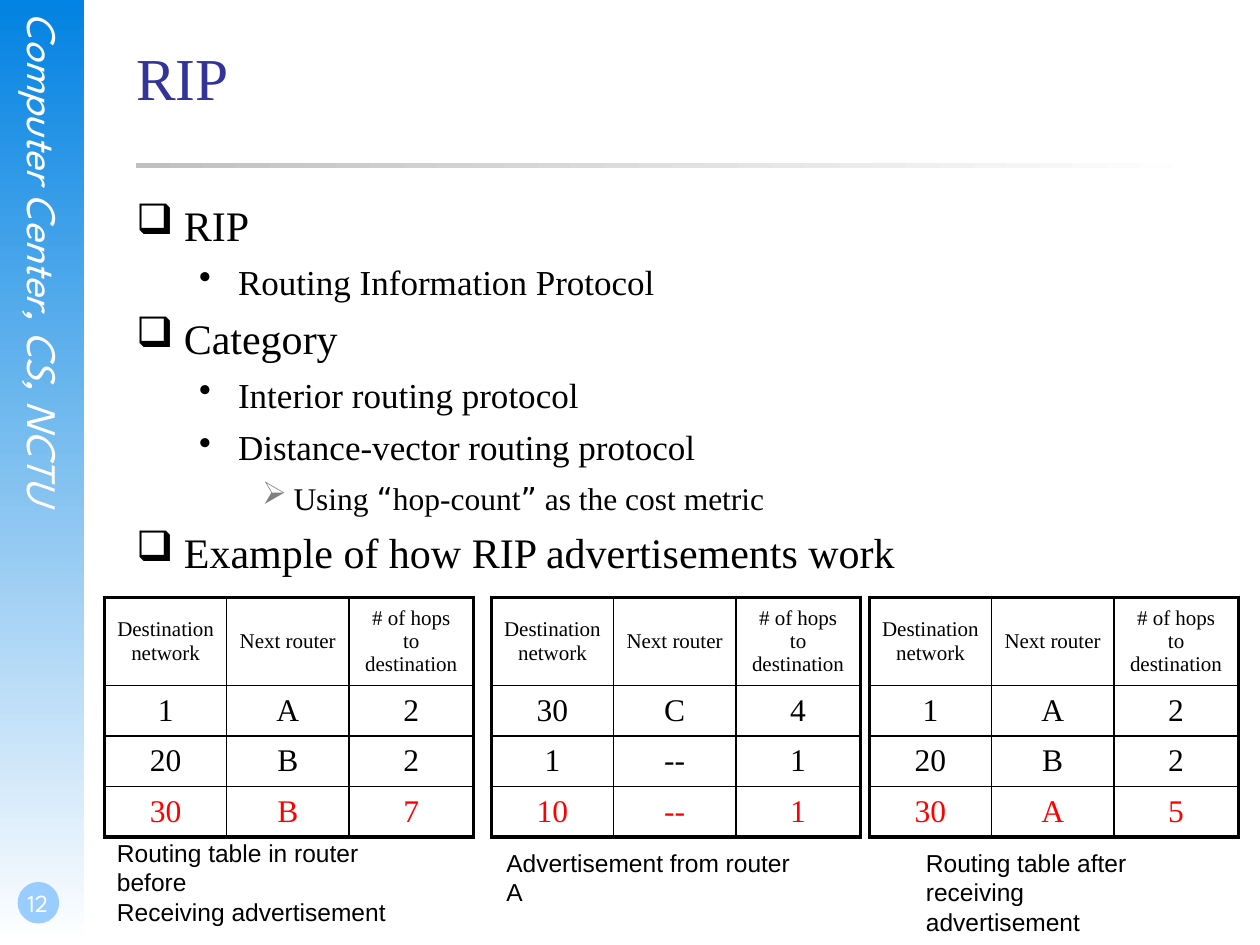
from lxml import etree
from pptx import Presentation
from pptx.dml.color import RGBColor
from pptx.enum.shapes import MSO_SHAPE
from pptx.enum.text import MSO_ANCHOR, PP_ALIGN
from pptx.oxml.ns import qn
from pptx.util import Inches, Pt

RECTANGLE, OVAL = MSO_SHAPE.RECTANGLE, MSO_SHAPE.OVAL
CENTER = PP_ALIGN.CENTER
MIDDLE, BOTTOM = MSO_ANCHOR.MIDDLE, MSO_ANCHOR.BOTTOM

SERIF, SANS, SIDE, QUOTE = "Times New Roman", "Arial", "League Spartan", "DejaVu Sans"
COLORS = {
    "black": "000000", "white": "FFFFFF", "title": "333399", "red": "FF0000",
    "blue": "0282E2", "badge": "99CCFF", "silver": "C0C0C0", "gray": "808080",
}

# Per outline level: left margin, hanging indent, text size, bullet, bullet color
LEVELS = [
    (0.38, 0.38, 24, "❑", "black"),
    (0.81, 0.31, 20, "•", "black"),
    (1.25, 0.25, 18, "➢", "gray"),
]
OUTLINE = [
    (0, ["RIP"]),
    (1, ["Routing Information Protocol"]),
    (0, ["Category"]),
    (1, ["Interior routing protocol"]),
    (1, ["Distance-vector routing protocol"]),
    (2, ["Using ", "“", "hop-count", "”", " as the cost metric"]),
    (0, ["Example of how RIP advertisements work"]),
]

HEADER = ["Destination\nnetwork", "Next router", "# of hops to\ndestination"]
COLUMN_WIDTHS = [0.97, 0.97, 0.99]
ROW_HEIGHTS = [0.5, 0.4, 0.4, 0.4]
TABLE_TOP = 4.74
ROUTING_TABLES = [
    (0.83, [["1", "A", "2"], ["20", "B", "2"], ["30", "B", "7"]]),
    (3.9, [["30", "C", "4"], ["1", "--", "1"], ["10", "--", "1"]]),
    (6.9, [["1", "A", "2"], ["20", "B", "2"], ["30", "A", "5"]]),
]
CAPTIONS = [
    ((0.83, 6.6, 2.71, 0.57), ["Routing table in router before", "Receiving advertisement"]),
    ((3.92, 6.68, 2.62, 0.33), ["Advertisement from router A"]),
    ((7.25, 6.68, 2.25, 0.57), ["Routing table after", "receiving advertisement"]),
]


def rgb(name):
    return RGBColor.from_string(COLORS[name])


def style_font(font, size, name, color):
    font.size, font.name = Pt(size), name
    font.color.rgb = rgb(color)


def add_panel(page, kind, area, colors, angle=0):
    """Borderless shape; two colors make a gradient."""
    panel = page.shapes.add_shape(kind, *map(Inches, area))
    panel.shadow.inherit = False
    panel.line.fill.background()
    if len(colors) == 1:
        panel.fill.solid()
        panel.fill.fore_color.rgb = rgb(colors[0])
        return
    panel.fill.gradient()
    panel.fill.gradient_angle = angle
    for stop, color in zip(panel.fill.gradient_stops, colors):
        stop.color.rgb = rgb(color)


def add_text(page, area, lines, size, font, color, insets=(0.1, 0.05, 0.1, 0.05)):
    box = page.shapes.add_textbox(*map(Inches, area))
    frame = box.text_frame
    frame.word_wrap = True
    (frame.margin_left, frame.margin_top,
     frame.margin_right, frame.margin_bottom) = map(Inches, insets)
    frame.text = "\n".join(lines)
    for para in frame.paragraphs:
        for span in para.runs:
            style_font(span.font, size, font, color)
    return frame


def set_bullet(para, level):
    margin, hanging, _, symbol, color = LEVELS[level]
    para.level = level
    props = para._p.get_or_add_pPr()
    props.set("marL", str(Inches(margin)))
    props.set("indent", str(-Inches(hanging)))
    tint = etree.SubElement(props, qn("a:buClr"))
    etree.SubElement(tint, qn("a:srgbClr"), val=COLORS[color])
    etree.SubElement(props, qn("a:buChar"), char=symbol)


def add_outline(page):
    frame = add_text(page, (1.08, 1.58, 8.5, 5.08), [], 24, SERIF, "black", (0, 0, 0, 0))
    for index, (level, pieces) in enumerate(OUTLINE):
        para = frame.add_paragraph() if index else frame.paragraphs[0]
        set_bullet(para, level)
        if index:
            para.space_before = Pt(6)
        for piece in pieces:
            span = para.add_run()
            span.text = piece
            font = QUOTE if piece in "“”" else SERIF
            style_font(span.font, LEVELS[level][2], font, "black")


def set_borders(cell, widths):
    props = cell._tc.get_or_add_tcPr()
    for position, (side, width) in enumerate(widths.items()):
        line = etree.Element(qn(f"a:ln{side}"), w=str(Pt(width)))
        fill = etree.SubElement(line, qn("a:solidFill"))
        etree.SubElement(fill, qn("a:srgbClr"), val=COLORS["black"])
        props.insert(position, line)


def add_routing_table(page, left, records):
    """Grid with a thick frame, thin inner lines and a red last row."""
    rows = [HEADER] + records
    last_row, last_column = len(rows) - 1, len(HEADER) - 1
    table = page.shapes.add_table(
        len(rows), len(HEADER), Inches(left), Inches(TABLE_TOP),
        Inches(sum(COLUMN_WIDTHS)), Inches(sum(ROW_HEIGHTS))).table
    table.first_row = table.horz_banding = False
    for column, width in zip(table.columns, COLUMN_WIDTHS):
        column.width = Inches(width)
    for row, height in zip(table.rows, ROW_HEIGHTS):
        row.height = Inches(height)
    for r, values in enumerate(rows):
        for c, value in enumerate(values):
            cell = table.cell(r, c)
            cell.fill.background()
            cell.vertical_anchor = MIDDLE
            para = cell.text_frame.paragraphs[0]
            para.text = value
            para.alignment = CENTER
            for span in para.runs:
                style_font(span.font, 18 if r else 12, SERIF,
                           "red" if r == last_row else "black")
            outer = {"L": c == 0, "R": c == last_column, "T": r == 0, "B": r == last_row}
            set_borders(cell, {side: 2.25 if edge else 1 for side, edge in outer.items()})


def add_sidebar(page):
    add_panel(page, RECTANGLE, (0, 0, 0.67, 7.5), ["blue", "white"], 270)
    label = add_text(page, (0.15, 0.1, 0.4, 5.11), ["Computer Center, CS, NCTU"],
                     24, SIDE, "white", (0, 0, 0, 0))
    label._txBody.bodyPr.set("vert", "eaVert")
    label.paragraphs[0].runs[0].font.italic = True
    add_panel(page, OVAL, (0.14, 7, 0.33, 0.33), ["badge"])
    number = add_text(page, (0, 6.83, 0.58, 0.5), ["12"], 14, SIDE, "white",
                      (0.02, 0, 0, 0.05))
    number.vertical_anchor = BOTTOM
    number.paragraphs[0].alignment = CENTER


def main():
    deck = Presentation()
    deck.slide_width, deck.slide_height = Inches(10), Inches(7.5)
    page = deck.slides.add_slide(deck.slide_layouts[6])
    add_sidebar(page)
    add_panel(page, RECTANGLE, (1.08, 1.29, 8.5, 0.04), ["silver", "white"])
    add_text(page, (1.08, 0.28, 8.5, 1.25), ["RIP"], 34, SERIF, "title", (0, 0.05, 0, 0))
    add_outline(page)
    for area, lines in CAPTIONS:
        add_text(page, area, lines, 14, SANS, "black")
    for left, records in ROUTING_TABLES:
        add_routing_table(page, left, records)
    deck.save("out.pptx")


if __name__ == "__main__":
    main()
